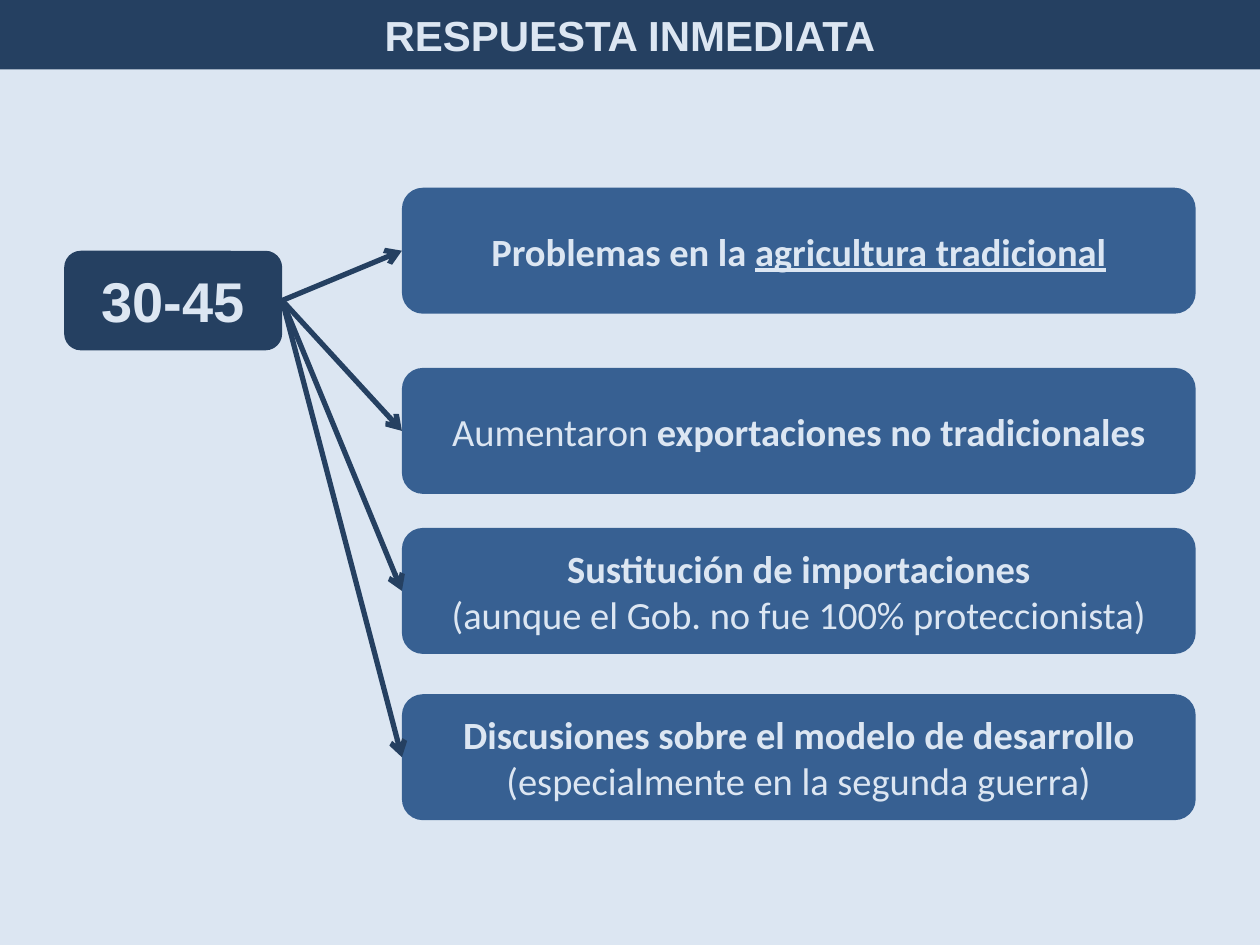
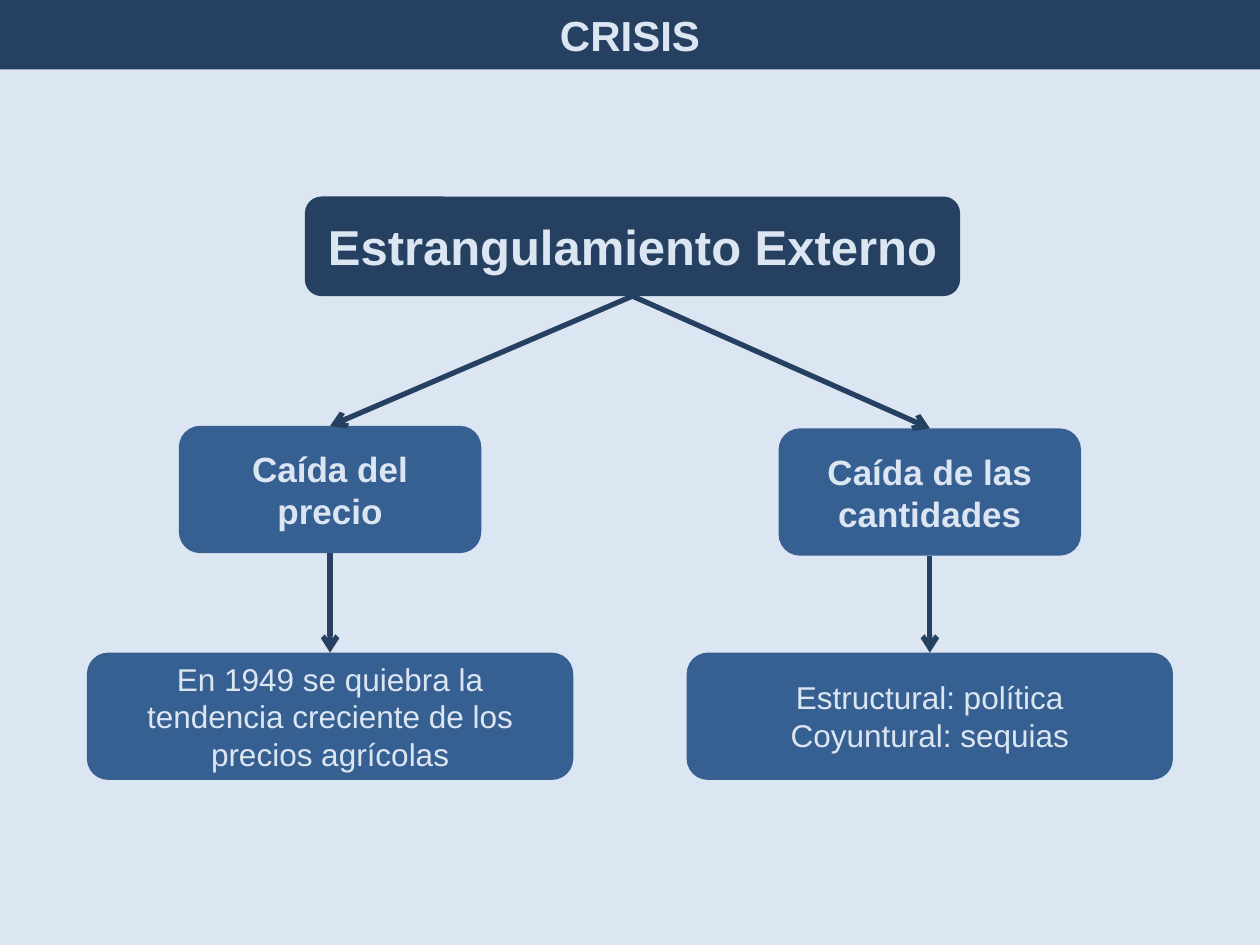
import pptx
import pptx.dml.color
import pptx.enum.shapes
import pptx.enum.text
import pptx.oxml
import pptx.oxml.ns
import pptx.util
from pptx.util import Inches

COLORS = {"background": "DCE6F2", "dark": "254061", "medium": "376092", "text": "DCE6F2"}
TOP, LEFT, BOTTOM, RIGHT = range(4)


def format_box(shape, fill, paragraphs, size, font_name="Arial"):
    """Fill a shape and write its paragraphs, each a list of (text, style words) runs."""
    shape.fill.solid()
    shape.fill.fore_color.rgb = pptx.dml.color.RGBColor.from_string(COLORS[fill])
    shape.line.fill.background()
    shape.shadow.inherit = False
    frame = shape.text_frame
    frame.word_wrap = True
    frame.auto_size = pptx.enum.text.MSO_AUTO_SIZE.NONE
    frame.vertical_anchor = pptx.enum.text.MSO_ANCHOR.MIDDLE
    for index, runs in enumerate(paragraphs):
        paragraph = frame.add_paragraph() if index else frame.paragraphs[0]
        paragraph.alignment = pptx.enum.text.PP_ALIGN.CENTER
        all_bold = all("bold" in style for text, style in runs)
        paragraph.font.name = font_name
        paragraph.font.size = pptx.util.Pt(size)
        paragraph.font.bold = all_bold
        paragraph.font.color.rgb = pptx.dml.color.RGBColor.from_string(COLORS["text"])
        for text, style in runs:
            run = paragraph.add_run()
            run.text = text
            if "bold" in style and not all_bold:
                run.font.bold = True
            if "underline" in style:
                run.font.underline = True
    return shape


def connect(slide, start, start_side, end, end_side):
    """Join two boxes with an arrow that points at the second."""
    arrow = slide.shapes.add_connector(pptx.enum.shapes.MSO_CONNECTOR.STRAIGHT, 0, 0, 0, 0)
    arrow.begin_connect(start, start_side)
    arrow.end_connect(end, end_side)
    arrow.line.width = pptx.util.Pt(3)
    arrow.line.color.rgb = pptx.dml.color.RGBColor.from_string(COLORS["dark"])
    tail = pptx.oxml.parse_xml(f'<a:tailEnd {pptx.oxml.ns.nsdecls("a")} type="arrow"/>')
    arrow.line._get_or_add_ln().append(tail)
    effects = pptx.oxml.parse_xml(f'<a:effectLst {pptx.oxml.ns.nsdecls("a")}/>')
    arrow._element.spPr.append(effects)


presentation = pptx.Presentation()
presentation.slide_width = Inches(10)
presentation.slide_height = Inches(7.5)
background = presentation.slide_master.background.fill
background.solid()
background.fore_color.rgb = pptx.dml.color.RGBColor.from_string(COLORS["background"])
title_only = presentation.slide_layouts[5]
rounded = pptx.enum.shapes.MSO_SHAPE.ROUNDED_RECTANGLE

slides = []
for title_text in ("RESPUESTA INMEDIATA", "CRISIS"):
    slide = presentation.slides.add_slide(title_only)
    title = slide.shapes.title
    title.left, title.top, title.width, title.height = 0, 0, Inches(10), Inches(0.55)
    format_box(title, "dark", [[(title_text, "bold")]], 24)
    slides.append(slide)
response_slide, crisis_slide = slides

# Immediate response: one period leads to four consequences
period = response_slide.shapes.add_shape(
    rounded, Inches(0.51), Inches(1.99), Inches(1.73), Inches(0.79))
format_box(period, "dark", [[("30-45", "bold")]], 32)

consequences = [
    (1.49, [[("Problemas en la ", "bold"), ("agricultura tradicional", "bold underline")]]),
    (2.92, [[("Aumentaron ", ""), ("exportaciones no tradicionales", "bold")]]),
    (4.19, [[("Sustitución de importaciones", "bold")],
            [("(aunque el Gob. no fue 100% proteccionista)", "")]]),
    (5.51, [[("Discusiones sobre el modelo de desarrollo", "bold")],
            [("(especialmente en la segunda guerra)", "")]]),
]
for top, paragraphs in consequences:
    consequence = response_slide.shapes.add_shape(
        rounded, Inches(3.19), Inches(top), Inches(6.3), Inches(1))
    format_box(consequence, "medium", paragraphs, 22, "Calibri")
    connect(response_slide, period, RIGHT, consequence, LEFT)

# Crisis: two causes of the external bottleneck, each with its explanation
bottleneck = crisis_slide.shapes.add_shape(
    rounded, Inches(2.42), Inches(1.56), Inches(5.2), Inches(0.79))
format_box(bottleneck, "dark", [[("Estrangulamiento Externo", "bold")]], 28)

cause_width, detail_width, box_height = 2.4, 3.86, 1.01
causes = [
    (2.62, 3.38, "Caída del precio",
     ["En 1949 se quiebra la tendencia creciente de los precios agrícolas"]),
    (7.38, 3.4, "Caída de las cantidades",
     ["Estructural: política", "Coyuntural: sequias"]),
]
for center, top, cause_text, detail_lines in causes:
    cause = crisis_slide.shapes.add_shape(
        rounded, Inches(center - cause_width / 2), Inches(top),
        Inches(cause_width), Inches(box_height))
    format_box(cause, "medium", [[(cause_text, "bold")]], 20)
    detail = crisis_slide.shapes.add_shape(
        rounded, Inches(center - detail_width / 2), Inches(5.18),
        Inches(detail_width), Inches(box_height))
    format_box(detail, "medium", [[(line, "")] for line in detail_lines], 18)
    connect(crisis_slide, bottleneck, BOTTOM, cause, TOP)
    connect(crisis_slide, cause, BOTTOM, detail, TOP)

presentation.save("out.pptx")
